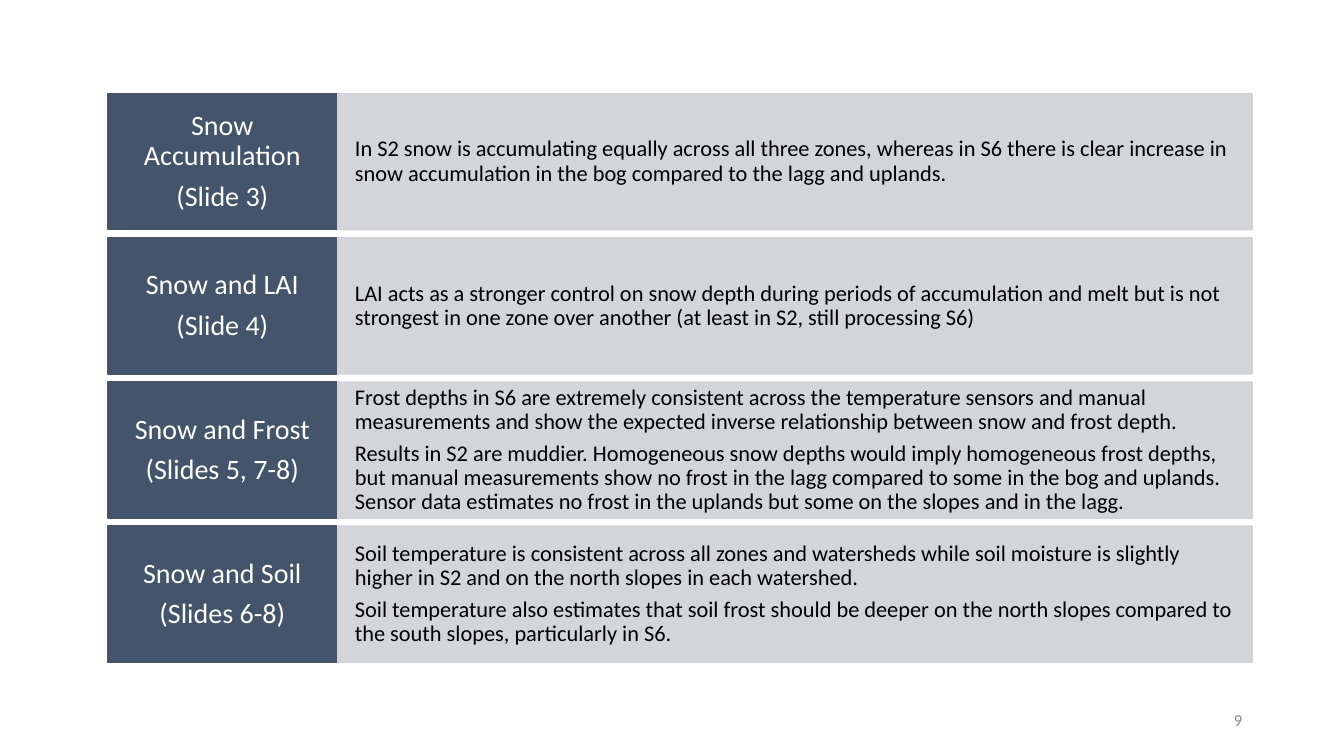
from dataclasses import dataclass

import lxml.etree
import pptx
import pptx.dml.color
import pptx.enum.shapes
import pptx.enum.text
import pptx.oxml.ns
import pptx.util

ALIGN = pptx.enum.text.PP_ALIGN
MIDDLE = pptx.enum.text.MSO_ANCHOR.MIDDLE


@dataclass(frozen=True)
class Theme:
    font: str = "Calibri"
    topic_fill: str = "44546A"
    finding_fill: str = "CFD1D4"
    light: str = "FFFFFF"
    dark: str = "000000"
    muted: str = "8C8C8C"
    topic_size: int = 20
    finding_size: int = 16
    number_size: int = 12
    line_spacing: float = 0.9
    gap_share: float = 0.35


@dataclass(frozen=True)
class Grid:
    left: float = 1.07
    top: float = 0.93
    topic_width: float = 2.27
    finding_width: float = 9.08
    row_height: float = 1.35
    row_pitch: float = 1.43

    def cell(self, column, row):
        return (self.left + column * self.topic_width,
                self.top + row * self.row_pitch,
                (self.topic_width, self.finding_width)[column],
                self.row_height)


class SlideBuilder:
    def __init__(self, prs, theme, grid):
        self.theme = theme
        self.grid = grid
        self.slide = prs.slides.add_slide(prs.slide_layouts[6])

    def set_text(self, sp, paragraphs, size, color, align, insets):
        tf = sp.text_frame
        tf.word_wrap = True
        tf.vertical_anchor = MIDDLE
        tf.margin_left = tf.margin_right = pptx.util.Inches(insets[0])
        tf.margin_top = tf.margin_bottom = pptx.util.Inches(insets[1])
        tf.text = "\n".join(paragraphs)
        for p in tf.paragraphs:
            p.alignment = align
            p.line_spacing = self.theme.line_spacing
            p.space_after = pptx.util.Pt(size * self.theme.gap_share)
            for r in p.runs:
                r.font.name = self.theme.font
                r.font.size = pptx.util.Pt(size)
                r.font.color.rgb = pptx.dml.color.RGBColor.from_string(color)

    def panel(self, column, row, color, opacity=100):
        sp = self.slide.shapes.add_shape(
            pptx.enum.shapes.MSO_SHAPE.RECTANGLE,
            *map(pptx.util.Inches, self.grid.cell(column, row)))
        rgb = pptx.dml.color.RGBColor.from_string(color)
        sp.shadow.inherit = False
        sp.fill.solid()
        sp.fill.fore_color.rgb = rgb
        sp.line.color.rgb = rgb
        sp.line.width = pptx.util.Pt(1)
        if opacity < 100:
            qn = pptx.oxml.ns.qn
            for clr in sp.element.spPr.iter(qn("a:srgbClr")):
                alpha = lxml.etree.SubElement(clr, qn("a:alpha"))
                alpha.set("val", str(opacity * 1000))
        return sp

    def topic(self, row, paragraphs):
        sp = self.panel(0, row, self.theme.topic_fill)
        self.set_text(sp, paragraphs, self.theme.topic_size, self.theme.light,
                      ALIGN.CENTER, (0.12, 0.13))

    def finding(self, row, paragraphs):
        sp = self.panel(1, row, self.theme.finding_fill, opacity=90)
        self.set_text(sp, paragraphs, self.theme.finding_size, self.theme.dark,
                      ALIGN.LEFT, (0.18, 0.34))

    def number(self, text):
        sp = self.slide.shapes.add_textbox(
            *map(pptx.util.Inches, (9.42, 6.95, 3, 0.4)))
        self.set_text(sp, [text], self.theme.number_size, self.theme.muted,
                      ALIGN.RIGHT, (0.1, 0.05))


SUMMARY = [
    (["Snow Accumulation", "(Slide 3)"],
     ["In S2 snow is accumulating equally across all three zones, whereas in S6 "
      "there is clear increase in snow accumulation in the bog compared to the "
      "lagg and uplands."]),
    (["Snow and LAI", "(Slide 4)"],
     ["LAI acts as a stronger control on snow depth during periods of "
      "accumulation and melt but is not strongest in one zone over another "
      "(at least in S2, still processing S6)"]),
    (["Snow and Frost", "(Slides 5, 7-8)"],
     ["Frost depths in S6 are extremely consistent across the temperature "
      "sensors and manual measurements and show the expected inverse "
      "relationship between snow and frost depth.",
      "Results in S2 are muddier. Homogeneous snow depths would imply "
      "homogeneous frost depths, but manual measurements show no frost in the "
      "lagg compared to some in the bog and uplands. Sensor data estimates no "
      "frost in the uplands but some on the slopes and in the lagg."]),
    (["Snow and Soil", "(Slides 6-8)"],
     ["Soil temperature is consistent across all zones and watersheds while "
      "soil moisture is slightly higher in S2 and on the north slopes in each "
      "watershed.",
      "Soil temperature also estimates that soil frost should be deeper on the "
      "north slopes compared to the south slopes, particularly in S6."]),
]


def main():
    prs = pptx.Presentation()
    prs.slide_width = pptx.util.Inches(13.33)
    prs.slide_height = pptx.util.Inches(7.5)
    s = SlideBuilder(prs, Theme(), Grid())
    s.number("9")
    for row, (topic, findings) in enumerate(SUMMARY):
        s.finding(row, findings)
        s.topic(row, topic)
    prs.save("out.pptx")


if __name__ == "__main__":
    main()
